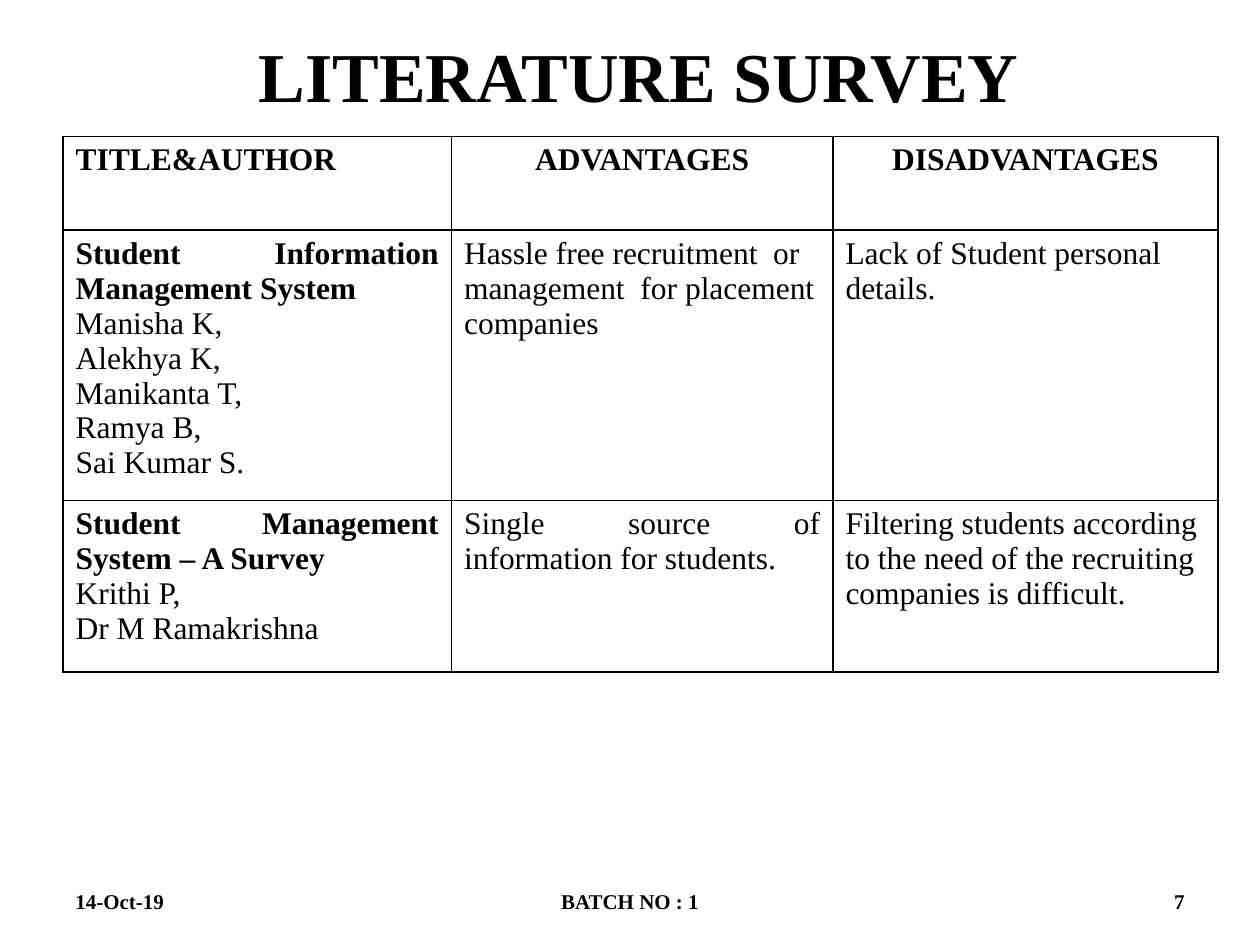
from lxml import etree
from pptx import Presentation
from pptx.dml.color import RGBColor
from pptx.enum import text
from pptx.oxml.ns import qn
from pptx.util import Pt

LEFT, CENTER, RIGHT, JUSTIFY = (
    text.PP_ALIGN.LEFT, text.PP_ALIGN.CENTER, text.PP_ALIGN.RIGHT, text.PP_ALIGN.JUSTIFY)

# Content
TITLE = " LITERATURE SURVEY"
HEADERS = [("TITLE&AUTHOR", LEFT), ("ADVANTAGES", CENTER), ("DISADVANTAGES", CENTER)]
PAPERS = [
    {"title": "Student Information Management System",
     "authors": ["Manisha K,", "Alekhya K,", "Manikanta T,", "Ramya B,", "Sai Kumar S."],
     "advantage": ("Hassle free recruitment  or management  for placement companies", LEFT),
     "disadvantage": "Lack of Student personal details."},
    {"title": "Student Management System – A Survey",
     "authors": ["Krithi P,", "Dr M Ramakrishna"],
     "advantage": ("Single source of information for students.", JUSTIFY),
     "disadvantage": "Filtering students according to the need of the recruiting "
                     "companies is difficult."},
]
# Footer: text, left, width, alignment
FOOTER = [("14-Oct-19", 36, 168, LEFT),
          ("BATCH NO : 1", 246, 228, CENTER),
          ("7", 516, 168, RIGHT)]

# Theme and layout, in points
THEME = {"font": "Times New Roman", "ink": RGBColor(0, 0, 0),
         "title": 40, "table": 18, "footer": 12, "border": 1}
TITLE_BOX = (36, 0, 648, 85.5)
TABLE_LEFT, TABLE_TOP = 36, 78
COLUMNS = [222, 218, 220]
ROWS = [53.5, 154.5, 98]
FOOTER_TOP, FOOTER_HEIGHT = 500.5, 28.75


def write(tf, lines, size):
    """Fill a text frame with (text, alignment, bold) paragraphs."""
    for i, (line, align, bold) in enumerate(lines):
        p = tf.paragraphs[0] if i == 0 else tf.add_paragraph()
        p.text = line
        p.alignment = align
        p.space_before = Pt(0)
        p.font.name = THEME["font"]
        p.font.size = Pt(THEME[size])
        p.font.bold = bold
        p.font.color.rgb = THEME["ink"]


def add_borders(cell):
    tc_pr = cell._tc.get_or_add_tcPr()
    for i, side in enumerate(("lnL", "lnR", "lnT", "lnB")):
        ln = etree.Element(qn("a:" + side), w=str(Pt(THEME["border"])))
        fill = etree.SubElement(ln, qn("a:solidFill"))
        etree.SubElement(fill, qn("a:srgbClr"), val=str(THEME["ink"]))
        tc_pr.insert(i, ln)


prs = Presentation()
prs.slide_width, prs.slide_height = Pt(720), Pt(540)
slide = prs.slides.add_slide(prs.slide_layouts[5])

# Title
title = slide.shapes.title
title.left, title.top, title.width, title.height = map(Pt, TITLE_BOX)
title.text_frame.vertical_anchor = text.MSO_ANCHOR.MIDDLE
write(title.text_frame, [(TITLE, CENTER, True)], "title")

# Survey table
cells = [[[(label, align, True)] for label, align in HEADERS]]
for paper in PAPERS:
    cells.append([
        [(paper["title"], JUSTIFY, True)] + [(a, JUSTIFY, False) for a in paper["authors"]],
        [(*paper["advantage"], False)],
        [(paper["disadvantage"], LEFT, False)],
    ])
table = slide.shapes.add_table(
    len(ROWS), len(COLUMNS), Pt(TABLE_LEFT), Pt(TABLE_TOP),
    Pt(sum(COLUMNS)), Pt(sum(ROWS))).table
for column, width in zip(table.columns, COLUMNS):
    column.width = Pt(width)
for row, height, contents in zip(table.rows, ROWS, cells):
    row.height = Pt(height)
    for cell, lines in zip(row.cells, contents):
        cell.fill.background()
        add_borders(cell)
        write(cell.text_frame, lines, "table")

# Footer
for label, left, width, align in FOOTER:
    tf = slide.shapes.add_textbox(
        Pt(left), Pt(FOOTER_TOP), Pt(width), Pt(FOOTER_HEIGHT)).text_frame
    tf.word_wrap = True
    tf.vertical_anchor = text.MSO_ANCHOR.MIDDLE
    write(tf, [(label, align, True)], "footer")

prs.save("out.pptx")
